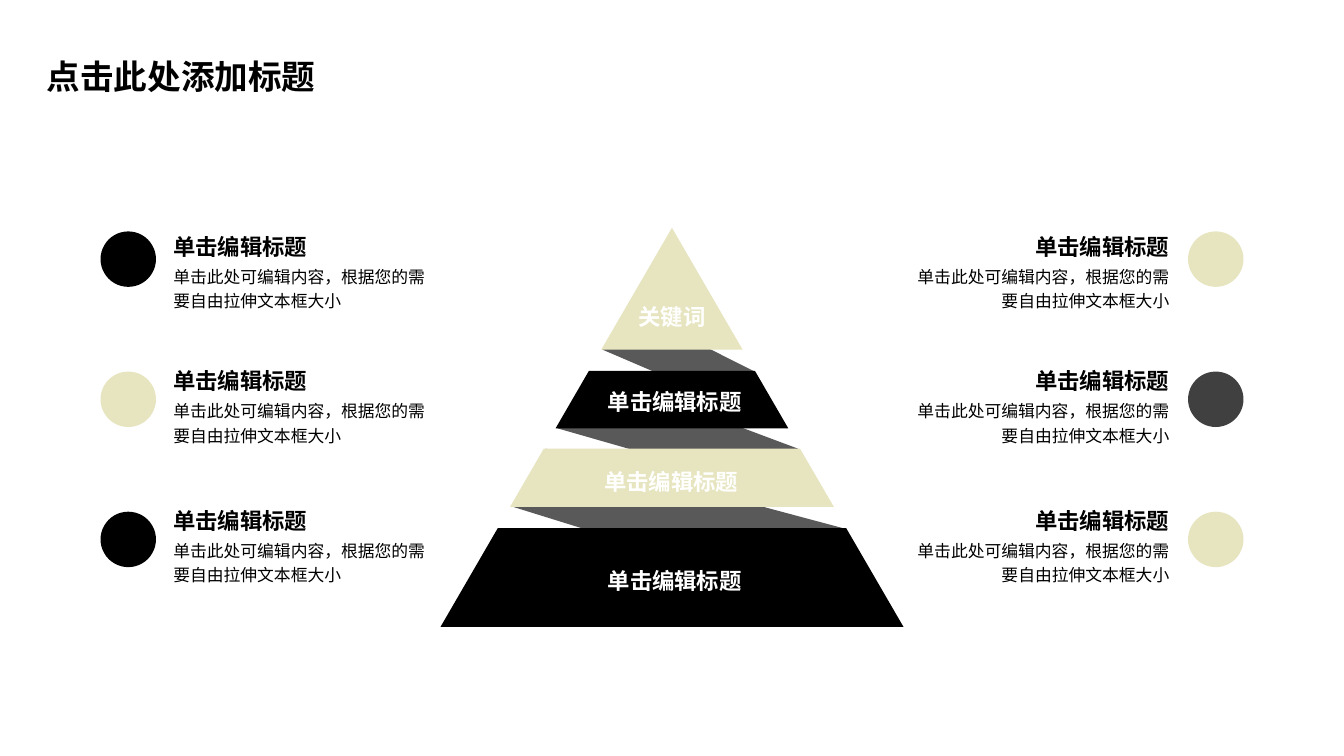
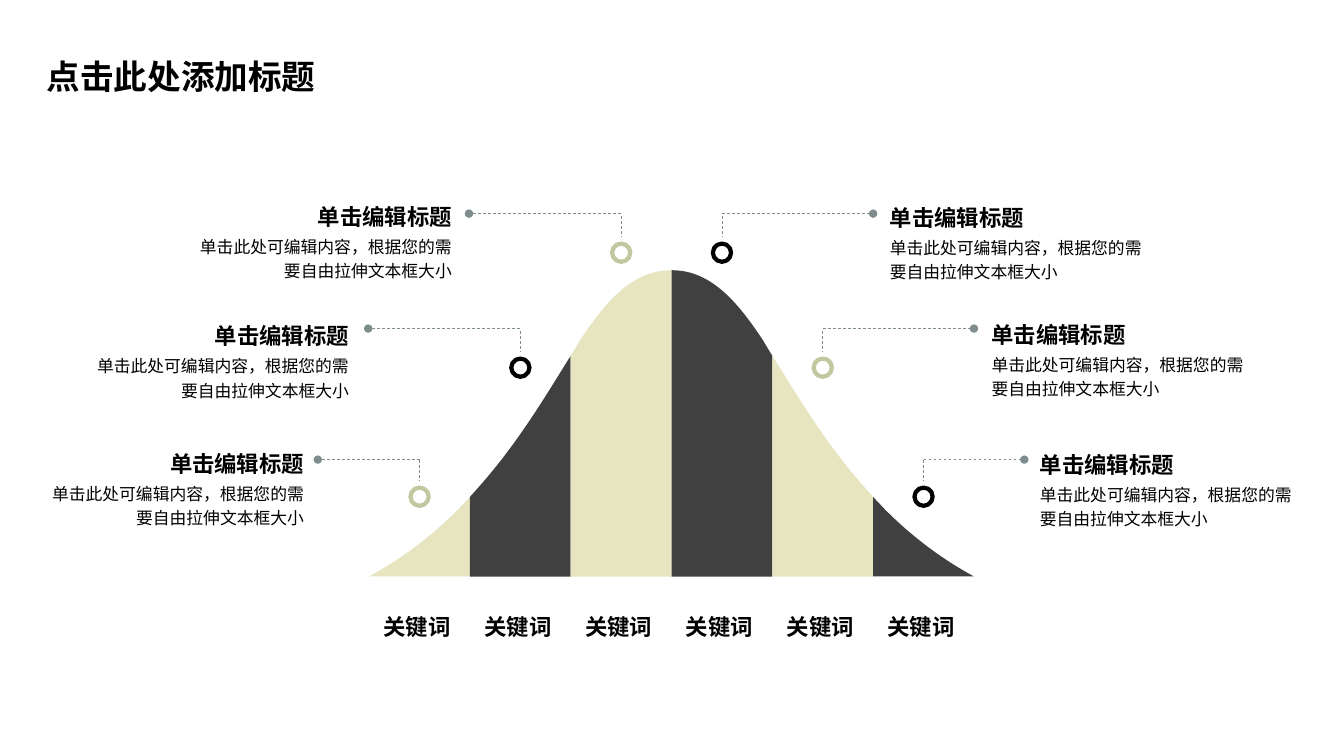
from typing import NamedTuple

from lxml import etree
from pptx import Presentation
from pptx.dml.color import RGBColor
from pptx.enum.dml import MSO_LINE
from pptx.enum.shapes import MSO_CONNECTOR, MSO_SHAPE
from pptx.enum.text import MSO_ANCHOR, MSO_AUTO_SIZE, PP_ALIGN
from pptx.oxml.ns import qn
from pptx.util import Pt

LEFT, CENTER, RIGHT = PP_ALIGN.LEFT, PP_ALIGN.CENTER, PP_ALIGN.RIGHT
MIDDLE, FIXED_SIZE = MSO_ANCHOR.MIDDLE, MSO_AUTO_SIZE.NONE
ELLIPSE, STRAIGHT, DASH = MSO_SHAPE.OVAL, MSO_CONNECTOR.STRAIGHT, MSO_LINE.DASH

# Shared style
BLACK, WHITE, CREAM = "000000", "FFFFFF", "E6E5C0"
CHARCOAL, FOLD_GRAY, SAGE, LEADER_GRAY = "404040", "595959", "C0C8A0", "7F8C8D"
LATIN_FONT, CJK_FONT = "Arial", "Noto Sans CJK SC"
SLIDE_WIDTH, SLIDE_HEIGHT, TITLE_ONLY = 960, 540, 5

# Shared wording
TITLE = "点击此处添加标题"
HEADING = "单击编辑标题"
DETAIL = "单击此处可编辑内容，根据您的需要自由拉伸文本框大小"
KEYWORD = "关键词"
HEADING_WIDTH, DETAIL_WIDTH, DETAIL_OFFSET = 102, 183.6, 25.2

Point = tuple[float, float]


class Callout(NamedTuple):
    left: float
    top: float
    align: PP_ALIGN


class Dot(NamedTuple):
    left: float
    top: float
    color: str


class Band(NamedTuple):
    top: float
    bottom: float
    fold_top: float
    color: str
    label: str
    label_center: float
    label_top: float


class Marker(NamedTuple):
    column: int
    center_y: float
    elbow_y: float
    leader: float
    color: str


def rgb(color: str) -> RGBColor:
    return RGBColor.from_string(color)


def style_text(frame, size: float, color: str, bold: bool, align: PP_ALIGN,
               spacing: float = 1.2, latin: str = LATIN_FONT) -> None:
    paragraph = frame.paragraphs[0]
    paragraph.alignment = align
    paragraph.line_spacing = spacing
    for run in paragraph.runs:
        run.font.size, run.font.bold = Pt(size), bold
        run.font.color.rgb = rgb(color)
        run.font.name = latin
        east_asian = etree.SubElement(run.font._element, qn("a:ea"))
        east_asian.set("typeface", CJK_FONT)


def add_text(slide, text: str, left: float, top: float, width: float, height: float,
             size: float, align: PP_ALIGN, color: str = BLACK, bold: bool = True) -> None:
    box = slide.shapes.add_textbox(Pt(left), Pt(top), Pt(width), Pt(height))
    frame = box.text_frame
    frame.margin_left = frame.margin_right = frame.margin_top = frame.margin_bottom = 0
    frame.word_wrap = True
    frame.text = text
    style_text(frame, size, color, bold, align)


def add_titled_slide(prs):
    slide = prs.slides.add_slide(prs.slide_layouts[TITLE_ONLY])
    title = slide.shapes.title
    title.left, title.top, title.width, title.height = Pt(26.2), Pt(36), Pt(217), Pt(36)
    frame = title.text_frame
    frame.text = TITLE
    frame.vertical_anchor, frame.auto_size = MIDDLE, FIXED_SIZE
    style_text(frame, 24, BLACK, True, LEFT, 1.0, CJK_FONT)
    return slide


def add_callout(slide, callout: Callout) -> None:
    left, top, align = callout
    heading_left = left + DETAIL_WIDTH - HEADING_WIDTH if align == RIGHT else left
    add_text(slide, HEADING, heading_left, top, HEADING_WIDTH, 23, 16, align)
    add_text(slide, DETAIL, left, top + DETAIL_OFFSET, DETAIL_WIDTH, 34.6, 12, align, bold=False)


def add_circle(slide, left: float, top: float, diameter: float,
               fill: str | None = None, line: str | None = None) -> None:
    circle = slide.shapes.add_shape(ELLIPSE, Pt(left), Pt(top), Pt(diameter), Pt(diameter))
    circle.shadow.inherit = False
    if fill:
        circle.fill.solid()
        circle.fill.fore_color.rgb = rgb(fill)
    else:
        circle.fill.background()
    if line:
        circle.line.color.rgb = rgb(line)
        circle.line.width = Pt(3)
    else:
        circle.line.fill.background()


def add_outline(slide, points: list[Point], color: str, curve_start: int | None = None) -> None:
    """Draw a closed outline; three points from curve_start form one Bezier segment."""
    corners = [(Pt(x), Pt(y)) for x, y in points]
    builder = slide.shapes.build_freeform(*corners[0])
    builder.add_line_segments(corners[1:], close=True)
    outline = builder.convert_to_shape()
    outline.shadow.inherit = False
    outline.fill.solid()
    outline.fill.fore_color.rgb = rgb(color)
    outline.line.fill.background()
    if curve_start is not None:
        segments = list(outline._element.iter(qn("a:lnTo")))[curve_start - 1:curve_start + 2]
        curve = etree.Element(qn("a:cubicBezTo"))
        segments[0].addprevious(curve)
        for segment in segments:
            curve.append(segment[0])
            segment.getparent().remove(segment)


def add_leader(slide, start: Point, end: Point, dot_at_end: bool = False) -> None:
    leader = slide.shapes.add_connector(
        STRAIGHT, Pt(start[0]), Pt(start[1]), Pt(end[0]), Pt(end[1]))
    leader.line.color.rgb = rgb(LEADER_GRAY)
    leader.line.width = Pt(0.5)
    leader.line.dash_style = DASH
    properties = leader._element.spPr
    if dot_at_end:
        etree.SubElement(properties.find(qn("a:ln")), qn("a:tailEnd")).set("type", "oval")
    etree.SubElement(properties, qn("a:effectLst"))


# Pyramid slide
PYRAMID_CENTER, PYRAMID_TIP = 480, 162.7
BAND_SLOPE, FOLD_SLOPE = 0.58, 0.57
BANDS = [
    Band(162.7, 249.8, 219.6, CREAM, KEYWORD, 480, 213),
    Band(265, 306, 265, BLACK, HEADING, 482, 273.6),
    Band(320.5, 362, 320.5, CREAM, HEADING, 479.5, 330.5),
    Band(377.3, 447.8, 377.3, BLACK, HEADING, 482, 401),
]
PYRAMID_DOTS = [
    Dot(left, 165.3 + 100.1 * row, color)
    for left, colors in ((71.8, (BLACK, CREAM, BLACK)), (848.6, (CREAM, CHARCOAL, CREAM)))
    for row, color in enumerate(colors)
]
PYRAMID_CALLOUTS = [
    Callout(left, top, align)
    for left, align in ((123.8, LEFT), (651.7, RIGHT))
    for top in (162.7, 258.5, 358.4)
]


def pyramid_edge(side: int, y: float, slope: float = BAND_SLOPE) -> Point:
    return PYRAMID_CENTER + side * (y - PYRAMID_TIP) * slope, y


def build_pyramid_slide(prs) -> None:
    slide = add_titled_slide(prs)
    # Folds run from the left of one band to the right of the next
    for upper, lower in zip(BANDS, BANDS[1:]):
        corners = ((1, lower.bottom), (-1, upper.bottom), (-1, upper.fold_top), (1, lower.top))
        add_outline(slide, [pyramid_edge(side, y, FOLD_SLOPE) for side, y in corners], FOLD_GRAY)
    for band in BANDS:
        corners = [(1, band.top), (1, band.bottom), (-1, band.bottom)]
        if band.top > PYRAMID_TIP:
            corners.append((-1, band.top))
        add_outline(slide, [pyramid_edge(side, y) for side, y in corners], band.color)
        add_text(slide, band.label, band.label_center - 54.4, band.label_top, 108.8, 22,
                 16, CENTER, WHITE)
    for dot in PYRAMID_DOTS:
        add_circle(slide, dot.left, dot.top, 39.6, fill=dot.color)
    for callout in PYRAMID_CALLOUTS:
        add_callout(slide, callout)


# Bell curve slide
BELL_CENTER, BELL_BASE, COLUMN_WIDTH, COLUMN_COUNT = 479.7, 411.8, 72, 6
BELL_LEFT = BELL_CENTER - 3 * COLUMN_WIDTH
# Upper edges of the left three columns: points, and where their Bezier segment starts
COLUMN_EDGES = [
    ([(263.7, 411.8), (288.7, 398.2), (309.6, 381.6), (326.9, 364.3), (335.7, 355)], 1),
    ([(335.7, 355), (343.4, 346.3), (370, 316), (388.8, 284.4), (405.4, 257.8),
      (407.7, 254.2)], 2),
    ([(407.7, 254.2), (414.7, 242.6), (434.2, 213.1), (452.9, 193), (479.7, 193)], 2),
]
MARKERS = [
    Marker(0, 354.8, 328.3, -72.7, SAGE), Marker(1, 262.6, 234.7, -108.7, BLACK),
    Marker(2, 180.5, 152.6, -108.7, SAGE), Marker(3, 180.5, 152.6, 108, BLACK),
    Marker(4, 262.6, 234.7, 108, SAGE), Marker(5, 354.8, 328.3, 72, BLACK),
]
BELL_CALLOUTS = [
    Callout(139.2, 141.1, RIGHT), Callout(65.7, 226.4, RIGHT), Callout(33.6, 317.5, RIGHT),
    Callout(635.6, 141.8, LEFT), Callout(708.3, 225.4, LEFT), Callout(742.8, 318.2, LEFT),
]


def add_column(slide, column: int) -> None:
    mirrored = column >= len(COLUMN_EDGES)
    source = COLUMN_COUNT - 1 - column if mirrored else column
    edge, curve_start = COLUMN_EDGES[source]
    left = BELL_LEFT + source * COLUMN_WIDTH
    outline = [*edge, (left + COLUMN_WIDTH, BELL_BASE)]
    if source:
        outline.append((left, BELL_BASE))
    if mirrored:
        outline = [(2 * BELL_CENTER - x, y) for x, y in outline]
    add_outline(slide, outline, CHARCOAL if column % 2 else CREAM, curve_start)


def build_bell_slide(prs) -> None:
    slide = add_titled_slide(prs)
    for column in range(COLUMN_COUNT):
        add_column(slide, column)
        add_text(slide, KEYWORD, 274 + column * COLUMN_WIDTH, 434.2, 51, 23, 16, LEFT)
    # Rings with dashed leaders
    for marker in MARKERS:
        x = BELL_LEFT + (marker.column + 0.5) * COLUMN_WIDTH
        add_circle(slide, x - 6.5, marker.center_y - 6.5, 13, line=marker.color)
        add_leader(slide, (x, marker.center_y - 26), (x, marker.center_y - 11.6))
        add_leader(slide, (x, marker.elbow_y), (x + marker.leader, marker.elbow_y),
                   dot_at_end=True)
    for callout in BELL_CALLOUTS:
        add_callout(slide, callout)


def main() -> None:
    prs = Presentation()
    prs.slide_width, prs.slide_height = Pt(SLIDE_WIDTH), Pt(SLIDE_HEIGHT)
    build_pyramid_slide(prs)
    build_bell_slide(prs)
    prs.save("out.pptx")


if __name__ == "__main__":
    main()
